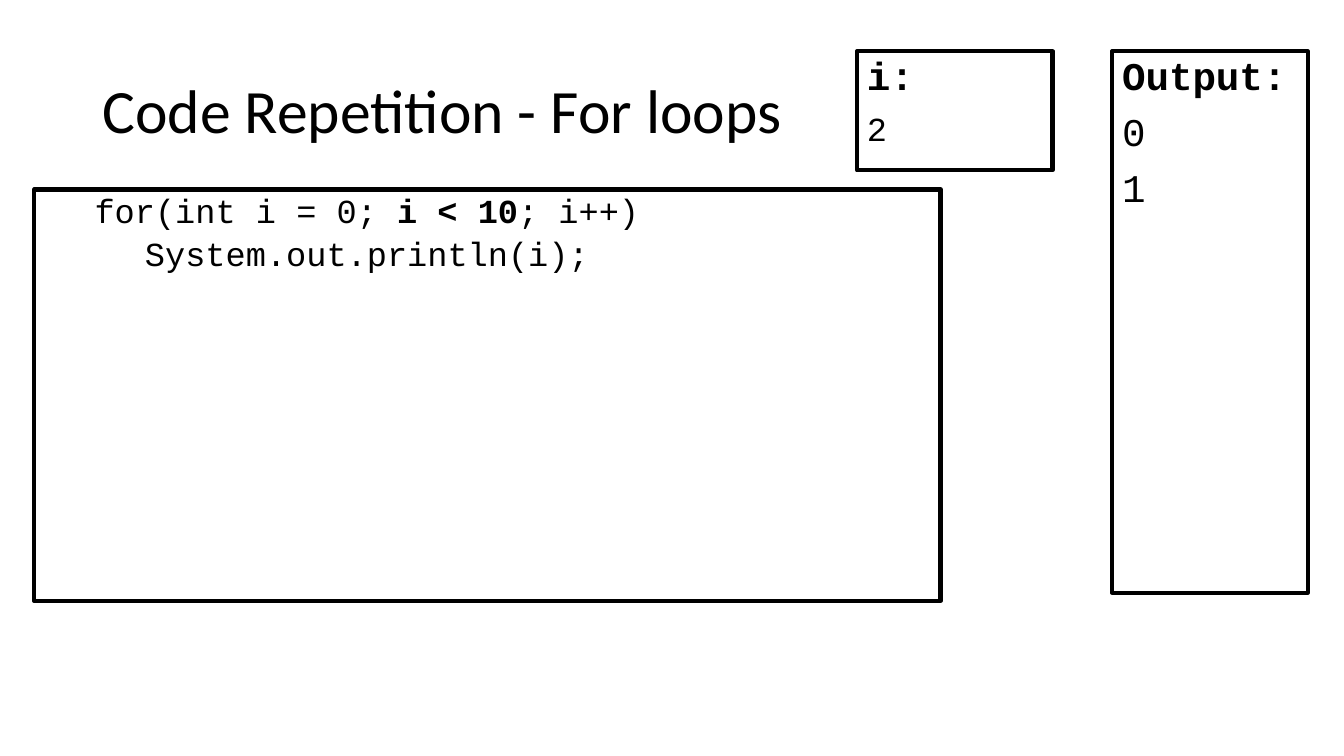
from pptx import Presentation, util as u
from pptx.dml import color
from pptx.enum import shapes, text

COLORS = {"ink": "000000"}
CODE_FONT = "Courier New"


def add_span(para, content, font="Calibri", size=24, bold=False, ink="ink"):
    """Append formatted text to a paragraph."""
    span = para.add_run()
    span.text = content
    span.font.name = font
    span.font.size = u.Pt(size)
    span.font.bold = bold
    span.font.color.rgb = color.RGBColor.from_string(COLORS[ink])


class SlideBuilder:
    """Hold the style and current slide, placing elements by percent of its size."""

    def __init__(self, deck):
        """Add a blank page to the deck."""
        self.width, self.height = deck.slide_width, deck.slide_height
        self.page = deck.slides.add_slide(deck.slide_layouts[6])

    def place(self, left, top, width, height):
        """Turn percentages into slide lengths."""
        return (int(left * self.width / 100), int(top * self.height / 100),
                int(width * self.width / 100), int(height * self.height / 100))

    def title(self, content, *area):
        """Add the slide title."""
        box = self.page.shapes.add_textbox(*self.place(*area))
        frame = box.text_frame
        frame.word_wrap = True
        frame.vertical_anchor = text.MSO_ANCHOR.MIDDLE
        para = frame.paragraphs[0]
        para.line_spacing = 0.9
        add_span(para, content, size=44)

    def panel(self, lines, *area, gap=10, level=0):
        """Add an outlined box of code lines, each an indent and its spans."""
        box = self.page.shapes.add_shape(shapes.MSO_SHAPE.RECTANGLE, *self.place(*area))
        box.shadow.inherit = False
        box.fill.background()
        box.line.color.rgb = color.RGBColor.from_string(COLORS["ink"])
        box.line.width = u.Pt(3)
        frame = box.text_frame
        frame.word_wrap = True
        frame.vertical_anchor = text.MSO_ANCHOR.TOP
        for number, (indent, spans) in enumerate(lines):
            para = frame.add_paragraph() if number else frame.paragraphs[0]
            para.alignment = text.PP_ALIGN.LEFT
            para.level = level
            para.line_spacing = 0.9
            para.space_before = u.Pt(gap if number else 0)
            properties = para._p.get_or_add_pPr()
            properties.set("marL", str(u.Inches(level * 0.5)))
            properties.set("indent", str(u.Inches(indent)))
            for content, size, bold in spans:
                add_span(para, content, font=CODE_FONT, size=size, bold=bold)


def main():
    """Build and save the deck."""
    deck = Presentation()
    deck.slide_width, deck.slide_height = u.Inches(13.33), u.Inches(7.5)
    slide = SlideBuilder(deck)
    slide.title("Code Repetition - For loops", 6.9, 5.33, 86.25, 19.33)
    slide.panel([(0, [("Output:", 28, True)]),
                 (0, [("0", 28, False)]),
                 (0, [("1", 28, False)])], 82.75, 6.8, 14.55, 71.6)
    slide.panel([(0, [("for(int i = 0; ", 24, False), ("i < 10", 24, True),
                      ("; i++)", 24, False)]),
                 (0.5, [("System.out.println(i);", 24, False)])],
                2.55, 25.07, 67.44, 54.4, gap=5, level=1)
    slide.panel([(0, [("i:", 28, True)]),
                 (0, [("2", 24, False)])], 63.77, 6.8, 14.55, 15.73)
    deck.save("out.pptx")


if __name__ == "__main__":
    main()
